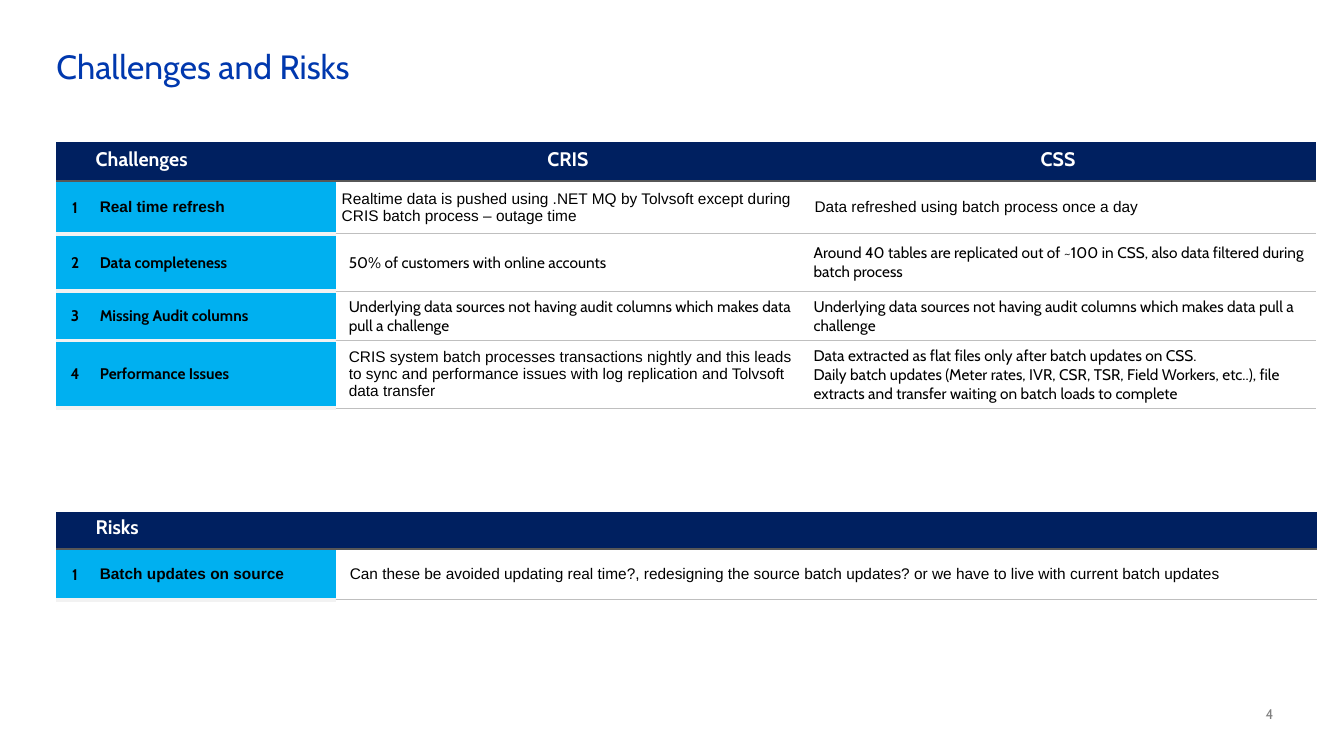
from dataclasses import dataclass

from lxml import etree
from pptx import Presentation
from pptx.dml.color import RGBColor
from pptx.enum import text
from pptx.oxml import ns
from pptx.util import Inches, Pt

ALIGN, ANCHOR = text.PP_ALIGN, text.MSO_ANCHOR
NO_GRID_STYLE = "{2D5ABB26-0587-4C30-8999-92F81FD0307C}"


@dataclass(frozen=True)
class Theme:
    font: str = "Cabin"
    plain_font: str = "Arial"
    title: str = "0038AE"
    page: str = "808080"
    header: str = "002060"
    header_text: str = "FFFFFF"
    label: str = "00B0F0"
    body_text: str = "000000"
    title_size: int = 24
    header_size: int = 14
    body_size: int = 11
    page_size: int = 10
    header_rule: tuple = ("575757", 1.5)
    label_rule: tuple = ("F2F2F2", 3)
    body_rule: tuple = ("BFBFBF", 0.5)


THEME = Theme()


@dataclass
class Entry:
    text: str
    font: str = THEME.font
    left: float = 0.13


PLAIN = THEME.plain_font
AUDIT = ("Underlying data sources not having audit columns which makes data "
         "pull a challenge")
CHALLENGES = [
    [Entry("Real time refresh", PLAIN),
     Entry("Realtime data is pushed using .NET MQ by Tolvsoft except during "
           "CRIS batch process – outage time", PLAIN, 0.06),
     Entry("Data refreshed using batch process once a day", PLAIN, 0.14)],
    [Entry("Data completeness"),
     Entry("50% of customers with online accounts"),
     Entry("Around 40 tables are replicated out of ~100 in CSS, also data "
           "filtered during batch process")],
    [Entry("Missing Audit columns"), Entry(AUDIT), Entry(AUDIT)],
    [Entry("Performance Issues"),
     Entry("CRIS system batch processes transactions nightly and this leads to sync "
           "and performance issues with log replication and Tolvsoft data transfer", PLAIN),
     Entry("Data extracted as flat files only after batch updates on CSS.\n"
           "Daily batch updates (Meter rates, IVR, CSR, TSR, Field Workers, etc..), "
           "file extracts and transfer waiting on batch loads to complete")],
]
RISKS = [
    [Entry("Batch updates on source", PLAIN),
     Entry("Can these be avoided updating real time?, redesigning the source batch "
           "updates? or we have to live with current batch updates", PLAIN, 0.14)],
]


def style_paragraphs(frame, font, size, color, bold=False, align=ALIGN.LEFT):
    for paragraph in frame.paragraphs:
        paragraph.alignment = align
        paragraph.font.name = font
        paragraph.font.size = Pt(size)
        paragraph.font.bold = bold
        paragraph.font.color.rgb = RGBColor.from_string(color)


def set_margins(target, left, top, right, bottom):
    target.margin_left, target.margin_top = Inches(left), Inches(top)
    target.margin_right, target.margin_bottom = Inches(right), Inches(bottom)


def add_text(slide, box, content, size, color, align=ALIGN.LEFT, anchor=ANCHOR.TOP):
    frame = slide.shapes.add_textbox(*map(Inches, box)).text_frame
    frame.word_wrap = True
    frame.vertical_anchor = anchor
    set_margins(frame, 0, 0, 0, 0)
    frame.text = content
    style_paragraphs(frame, THEME.font, size, color, align=align)
    return frame


def set_rules(cell, **rules):
    """Draw cell borders; keys are lnT and lnB, values are (colour, points)."""
    properties = cell._tc.get_or_add_tcPr()
    for position, (tag, (color, width)) in enumerate(rules.items()):
        line = etree.Element(ns.qn(f"a:{tag}"), w=str(Pt(width)))
        fill = etree.SubElement(line, ns.qn("a:solidFill"))
        etree.SubElement(fill, ns.qn("a:srgbClr"), val=color)
        properties.insert(position, line)


def fill_cell(cell, color):
    cell.fill.solid()
    cell.fill.fore_color.rgb = RGBColor.from_string(color)


def write_header(cell, content, left=0, align=ALIGN.CENTER):
    fill_cell(cell, THEME.header)
    set_rules(cell, lnB=THEME.header_rule)
    set_margins(cell, left, 0, 0, 0.1 if content else 0)
    cell.vertical_anchor = ANCHOR.BOTTOM
    cell.text = content
    style_paragraphs(cell.text_frame, THEME.font, THEME.header_size,
                     THEME.header_text, True, align)


def write_body(cell, entry, margins, is_label, first_row, align=ALIGN.LEFT):
    rule = THEME.label_rule if is_label else THEME.body_rule
    if is_label:
        fill_cell(cell, THEME.label)
    else:
        cell.fill.background()
    set_rules(cell, lnT=THEME.header_rule if first_row else rule, lnB=rule)
    set_margins(cell, *margins)
    cell.vertical_anchor = ANCHOR.MIDDLE
    cell.text = entry.text
    style_paragraphs(cell.text_frame, entry.font, THEME.body_size,
                     THEME.body_text, is_label, align)


def add_register(slide, top, widths, heights, headings, rows):
    """Add a numbered table whose first heading spans number and label."""
    frame = slide.shapes.add_table(len(heights), len(widths), Inches(0.56), Inches(top),
                                   Inches(sum(widths)), Inches(sum(heights)))
    table = frame.table
    table.first_row = table.horz_banding = False
    for style in frame._element.iter(ns.qn("a:tableStyleId")):
        style.text = NO_GRID_STYLE
    for column, width in zip(table.columns, widths):
        column.width = Inches(width)
    for row, height in zip(table.rows, heights):
        row.height = Inches(height)

    table.cell(0, 0).merge(table.cell(0, 1))
    write_header(table.cell(0, 0), headings[0], 0.39, ALIGN.LEFT)
    for column, heading in enumerate(headings[1:], 2):
        write_header(table.cell(0, column), heading)

    for number, entries in enumerate(rows, 1):
        first_row = number == 1
        write_body(table.cell(number, 0), Entry(str(number)), [0.02] * 4,
                   True, first_row, ALIGN.CENTER)
        for column, entry in enumerate(entries, 1):
            is_label = column == 1
            left = 0.06 if is_label else entry.left
            write_body(table.cell(number, column), entry, (left, 0.06, 0.06, 0.06),
                       is_label, first_row)


def main():
    presentation = Presentation()
    presentation.slide_width, presentation.slide_height = Inches(13.33), Inches(7.5)
    slide = presentation.slides.add_slide(presentation.slide_layouts[6])

    title = add_text(slide, (0.56, 0.5, 11.96, 0.36), "Challenges and Risks",
                     THEME.title_size, THEME.title)
    title.paragraphs[0].line_spacing = 0.9
    add_register(slide, 1.41, (0.37, 2.4, 4.61, 5.11), (0.39, 0.52, 0.57, 0.49, 0.67),
                 ("Challenges", "CRIS", "CSS"), CHALLENGES)
    add_register(slide, 5.08, (0.37, 2.4, 9.73), (0.37, 0.5), ("Risks", ""), RISKS)
    add_text(slide, (12.21, 7, 0.42, 0.17), "4", THEME.page_size, THEME.page,
             ALIGN.RIGHT, ANCHOR.BOTTOM)
    presentation.save("out.pptx")


if __name__ == "__main__":
    main()
